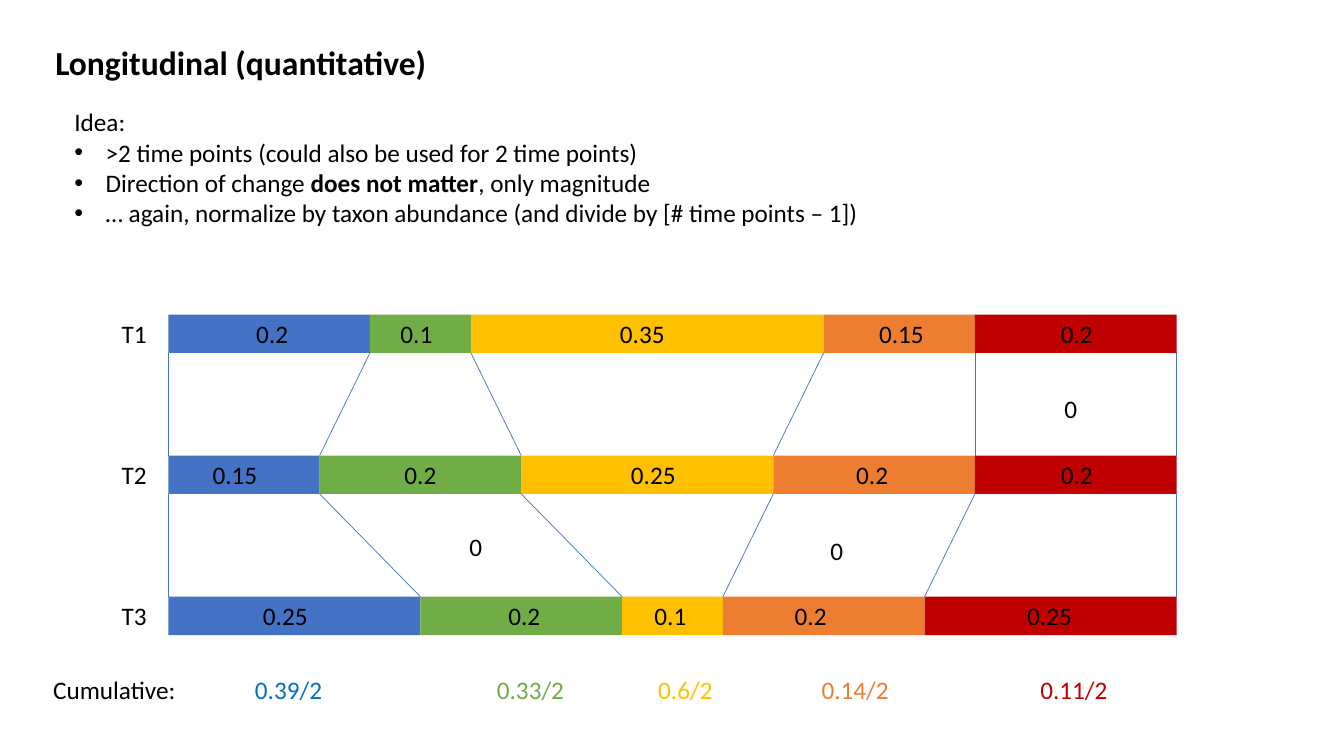
from itertools import accumulate
from lxml import etree
from pptx import Presentation
from pptx.dml.color import RGBColor
from pptx.enum.shapes import MSO_CONNECTOR, MSO_SHAPE
from pptx.enum.text import MSO_ANCHOR, PP_ALIGN
from pptx.oxml.ns import qn
from pptx.util import Inches, Pt

TITLE = "Longitudinal (quantitative)"
IDEA = [
    [("Idea:", False)],
    [(">2 time points (could also be used for 2 time points)", False)],
    [("Direction of change ", False), ("does not matter", True), (", only magnitude", False)],
    [("… again, normalize by taxon abundance (and divide by [# time points – 1])", False)],
]
TAXON_COLORS = ["4472C4", "70AD47", "FFC000", "ED7D31", "C00000"]
TIME_POINTS = [
    ("T1", [0.2, 0.1, 0.35, 0.15, 0.2], [27, 41.3, 63.7, 89.4, 106.8]),
    ("T2", [0.15, 0.2, 0.25, 0.2, 0.2], [23.3, 41.7, 64.8, 86.5, 106.8]),
    ("T3", [0.25, 0.2, 0.1, 0.2, 0.25], [28.3, 52, 66.5, 80.4, 104.1]),
]
UNCHANGED = [(106.2, 40.5), (47.2, 54.2), (83, 54.6)]
CUMULATIVE = [
    ("0.39/2", "0070C0", 20),
    ("0.33/2", "70AD47", 44),
    ("0.6/2", "FFC000", 60),
    ("0.14/2", "ED7D31", 76.2),
    ("0.11/2", "C00000", 97.9),
]

CELL = Inches(0.1)
BAR_LEFT, BAR_TOP, BAR_HEIGHT, BAR_PITCH = 16.7, 31.2, 3.8, 14
BAR_LENGTH = 100
TIME_CENTER = 13.3
LABEL_WIDTH, LABEL_HEIGHT = 7, 4

deck = Presentation()
deck.slide_width, deck.slide_height = Inches(13.33), Inches(7.5)
slide = deck.slides.add_slide(deck.slide_layouts[6])


def cells(*lengths):
    return [round(length * CELL) for length in lengths]


def color(value):
    return RGBColor.from_string(value)


def add_run(paragraph, words, ink="000000", bold=False, size=18):
    run = paragraph.add_run()
    run.text = words
    style = {"name": "Calibri", "size": Pt(size), "bold": bold}
    for key, value in style.items():
        setattr(run.font, key, value)
    run.font.color.rgb = color(ink)


def add_frame(left, top, width, height, anchor=MSO_ANCHOR.TOP):
    frame = slide.shapes.add_textbox(*cells(left, top, width, height)).text_frame
    for key, value in {"word_wrap": True, "vertical_anchor": anchor}.items():
        setattr(frame, key, value)
    return frame


def add_label(words, center, middle):
    frame = add_frame(center - LABEL_WIDTH / 2, middle - LABEL_HEIGHT / 2,
                      LABEL_WIDTH, LABEL_HEIGHT, MSO_ANCHOR.MIDDLE)
    frame.paragraphs[0].alignment = PP_ALIGN.CENTER
    add_run(frame.paragraphs[0], words)


def add_bullet(paragraph):
    properties = paragraph._p.get_or_add_pPr()
    for key, value in {"marL": Inches(0.31), "indent": -Inches(0.31)}.items():
        properties.set(key, str(value))
    etree.SubElement(properties, qn("a:buFont")).set("typeface", "Arial")
    etree.SubElement(properties, qn("a:buChar")).set("char", "•")


def add_bar(left, top, width, fill):
    bar = slide.shapes.add_shape(MSO_SHAPE.RECTANGLE, *cells(left, top, width, BAR_HEIGHT))
    bar.shadow.inherit = False
    bar.fill.solid()
    bar.fill.fore_color.rgb = color(fill)
    bar.line.fill.background()


def add_link(start_x, start_y, end_x, end_y):
    link = slide.shapes.add_connector(MSO_CONNECTOR.STRAIGHT,
                                      *cells(start_x, start_y, end_x, end_y))
    link.line.color.rgb = color("4472C4")
    link.line.width = Pt(0.5)
    etree.SubElement(link._element.spPr, qn("a:effectLst"))


add_run(add_frame(4.5, 3.7, 60, 5).paragraphs[0], TITLE, bold=True, size=24)

idea = add_frame(6.4, 10.1, 90, 13.1)
for number, pieces in enumerate(IDEA):
    line = idea.add_paragraph() if number else idea.paragraphs[0]
    if number:
        add_bullet(line)
    for words, bold in pieces:
        add_run(line, words, bold=bold)

edges_by_time = [
    [BAR_LEFT + BAR_LENGTH * share for share in accumulate(abundances, initial=0)]
    for _, abundances, _ in TIME_POINTS
]
for row, (time, abundances, centers) in enumerate(TIME_POINTS):
    top = BAR_TOP + row * BAR_PITCH
    middle = top + BAR_HEIGHT / 2
    add_label(time, TIME_CENTER, middle)
    for abundance, center, left, fill in zip(abundances, centers, edges_by_time[row], TAXON_COLORS):
        add_bar(left, top, BAR_LENGTH * abundance, fill)
        add_label(str(abundance), center, middle)

for row, (upper, lower) in enumerate(zip(edges_by_time, edges_by_time[1:])):
    top = BAR_TOP + row * BAR_PITCH
    for start, end in zip(upper, lower):
        add_link(start, top + BAR_HEIGHT, end, top + BAR_PITCH)

for center, middle in UNCHANGED:
    add_label("0", center, middle)

totals = add_frame(4.3, 66.4, 112, 4).paragraphs[0]
tab_list = etree.SubElement(totals._p.get_or_add_pPr(), qn("a:tabLst"))
for _, _, stop in CUMULATIVE:
    tab = etree.SubElement(tab_list, qn("a:tab"))
    for key, value in {"pos": str(cells(stop)[0]), "algn": "l"}.items():
        tab.set(key, value)
add_run(totals, "Cumulative:")
for total, ink, _ in CUMULATIVE:
    add_run(totals, "\t" + total, ink)

deck.save("out.pptx")
